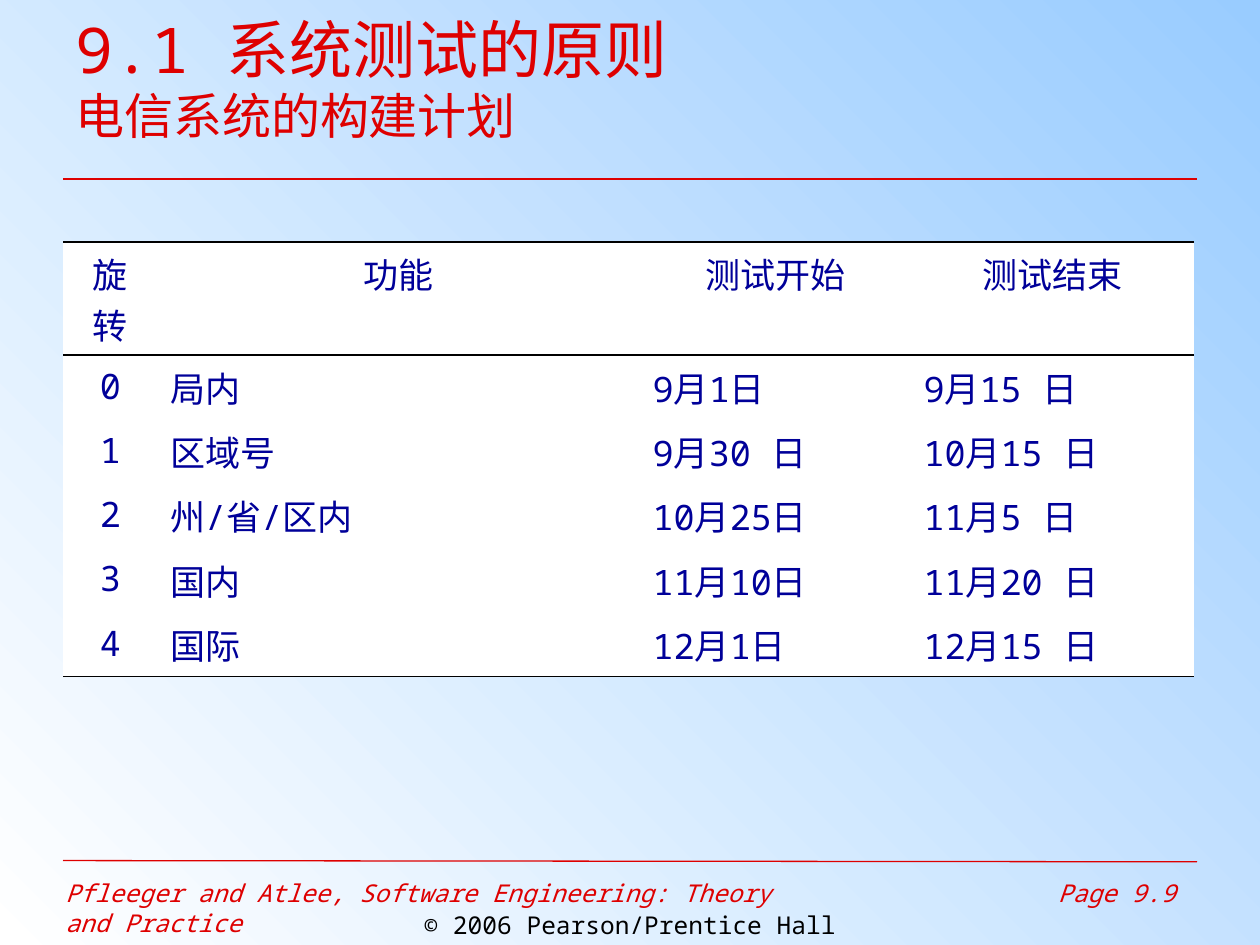
from dataclasses import dataclass

from lxml import etree
from pptx import Presentation
from pptx import util as u
from pptx.dml.color import RGBColor
from pptx.enum import text
from pptx.enum.shapes import MSO_CONNECTOR
from pptx.oxml.ns import qn


@dataclass(frozen=True)
class Theme:
    font: str = "Noto Sans Mono"
    red: str = "DE0000"
    navy: str = "000099"
    black: str = "000000"
    white: str = "FFFFFF"
    sky: str = "99CCFF"
    title: int = 36
    subtitle: int = 28
    table: int = 20
    footer: int = 14
    border: float = 1.08


@dataclass(frozen=True)
class Rule:
    start_y: float
    end_y: float
    weight: float


@dataclass(frozen=True)
class Footer:
    words: str
    left: float
    top: float
    width: float
    height: float
    align: text.PP_ALIGN
    color: str
    italic: bool


THEME = Theme()
LEFT, RIGHT = 0.5, 9.5
ALIGN = text.PP_ALIGN

RULES = [Rule(6.83, 6.84, 0.75), Rule(1.42, 1.42, 1.5)]
FOOTERS = [
    Footer("Pfleeger and Atlee, Software Engineering: Theory and Practice",
           0.42, 6.92, 6, 0.34, ALIGN.LEFT, THEME.red, True),
    Footer("Page 9.9", 7.83, 6.92, 1.6, 0.37, ALIGN.RIGHT, THEME.red, True),
    Footer("© 2006 Pearson/Prentice Hall",
           0, 7.17, 10, 0.34, ALIGN.CENTER, THEME.black, False),
]
BUILD_PLAN = [
    ("旋转", "功能", "测试开始", "测试结束"),
    ("0", "局内", "9月1日", "9月15 日"),
    ("1", "区域号", "9月30 日", "10月15 日"),
    ("2", "州/省/区内", "10月25日", "11月5 日"),
    ("3", "国内", "11月10日", "11月20 日"),
    ("4", "国际", "12月1日", "12月15 日"),
]
COLUMN_WIDTHS = (0.75, 3.83, 2.15, 2.25)
HEADER_HEIGHT, ROW_HEIGHT = 0.9, 0.51


def add_run(paragraph, words: str, size: int, color: str, italic: bool = False) -> None:
    run = paragraph.add_run()
    run.text = words
    run.font.name = THEME.font
    run.font.size = u.Pt(size)
    run.font.italic = italic
    run.font.color.rgb = RGBColor.from_string(color)


def add_frame(slide, left: float, top: float, width: float, height: float):
    box = slide.shapes.add_textbox(*map(u.Inches, (left, top, width, height)))
    box.text_frame.word_wrap = True
    return box.text_frame


def draw_background(slide) -> None:
    fill = slide.background.fill
    fill.gradient()
    fill.gradient_angle = 45
    for stop, color in zip(fill.gradient_stops, (THEME.white, THEME.sky)):
        stop.color.rgb = RGBColor.from_string(color)


def draw_rule(slide, rule: Rule) -> None:
    line = slide.shapes.add_connector(
        MSO_CONNECTOR.STRAIGHT, u.Inches(LEFT), u.Inches(rule.start_y),
        u.Inches(RIGHT), u.Inches(rule.end_y))
    line.line.color.rgb = RGBColor.from_string(THEME.red)
    line.line.width = u.Pt(rule.weight)
    etree.SubElement(line._element.spPr, qn("a:effectLst"))


def draw_footer(slide, footer: Footer) -> None:
    frame = add_frame(slide, footer.left, footer.top, footer.width, footer.height)
    frame.auto_size = text.MSO_AUTO_SIZE.SHAPE_TO_FIT_TEXT
    paragraph = frame.paragraphs[0]
    paragraph.alignment = footer.align
    add_run(paragraph, footer.words, THEME.footer, footer.color, footer.italic)


def draw_title(slide) -> None:
    frame = add_frame(slide, LEFT, 0, 8.98, 1.23)
    frame.vertical_anchor = text.MSO_ANCHOR.MIDDLE
    heading = frame.paragraphs[0]
    add_run(heading, "9.1 系统测试的原则", THEME.title, THEME.red)
    heading.add_line_break()
    add_run(heading, "电信系统的构建计划", THEME.subtitle, THEME.red)


def set_borders(cell, top: bool, bottom: bool) -> None:
    """Rule the chosen edges and leave the others bare."""
    properties = cell._tc.get_or_add_tcPr()
    edges = {"a:lnL": False, "a:lnR": False, "a:lnT": top, "a:lnB": bottom}
    for position, (tag, ruled) in enumerate(edges.items()):
        edge = etree.Element(qn(tag), w=str(int(u.Pt(THEME.border))))
        if ruled:
            fill = etree.SubElement(edge, qn("a:solidFill"))
            etree.SubElement(fill, qn("a:srgbClr"), val=THEME.black)
        else:
            etree.SubElement(edge, qn("a:noFill"))
        properties.insert(position, edge)


def draw_build_plan(slide) -> None:
    heights = [HEADER_HEIGHT] + [ROW_HEIGHT] * (len(BUILD_PLAN) - 1)
    plan = slide.shapes.add_table(
        len(BUILD_PLAN), len(COLUMN_WIDTHS), u.Inches(LEFT), u.Inches(1.92),
        u.Inches(sum(COLUMN_WIDTHS)), u.Inches(sum(heights))).table
    plan.first_row = plan.horz_banding = False
    for column, width in zip(plan.columns, COLUMN_WIDTHS):
        column.width = u.Inches(width)
    for row, height in zip(plan.rows, heights):
        row.height = u.Inches(height)

    last = len(BUILD_PLAN) - 1
    for r, entries in enumerate(BUILD_PLAN):
        for c, entry in enumerate(entries):
            cell = plan.cell(r, c)
            cell.fill.solid()
            cell.fill.fore_color.rgb = RGBColor.from_string(THEME.white)
            set_borders(cell, top=r in (0, 1), bottom=r in (0, last))
            paragraph = cell.text_frame.paragraphs[0]
            paragraph.alignment = ALIGN.CENTER if r == 0 or c == 0 else ALIGN.LEFT
            add_run(paragraph, entry, THEME.table, THEME.navy)


def main() -> None:
    deck = Presentation()
    deck.slide_width, deck.slide_height = u.Inches(10), u.Inches(7.5)
    slide = deck.slides.add_slide(deck.slide_layouts[6])

    # Backdrop, rules and footers
    draw_background(slide)
    for rule in RULES:
        draw_rule(slide, rule)
    for footer in FOOTERS:
        draw_footer(slide, footer)

    # Title and build plan
    draw_title(slide)
    draw_build_plan(slide)
    deck.save("out.pptx")


if __name__ == "__main__":
    main()
